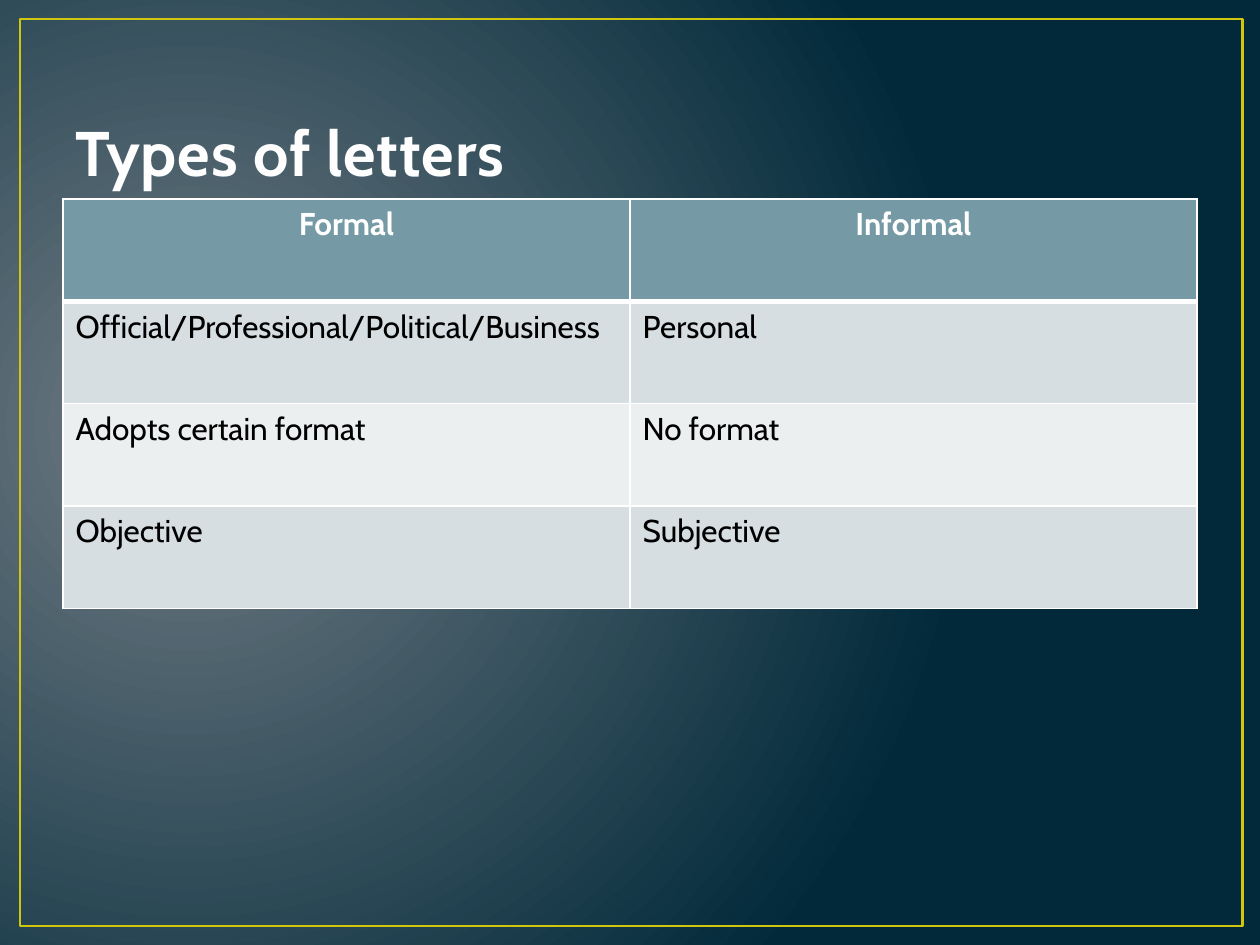
from dataclasses import dataclass
from typing import Any

from lxml.etree import SubElement
from pptx import Presentation
from pptx.dml.color import RGBColor
from pptx.enum.shapes import MSO_SHAPE as Preset
from pptx.enum.text import MSO_ANCHOR as Anchor, PP_ALIGN as Align
from pptx.oxml import parse_xml
from pptx.oxml.ns import nsdecls, qn
from pptx.util import Inches, Pt


@dataclass(frozen=True)
class Theme:
    """Colours, font and type sizes of the slide."""
    font: str = "Cabin"
    title_size: float = 36
    table_size: float = 18
    glow: str = "717C84"
    night: str = "01293A"
    frame: str = "CFC60D"
    title: str = "FEFEFE"
    title_edge: str = "384F55"
    header: str = "759AA5"
    bands: tuple[str, str] = ("D6DEE1", "ECEFF0")
    grid: str = "FFFFFF"
    header_text: str = "FFFFFF"
    body_text: str = "000000"


@dataclass(frozen=True)
class Contrast:
    """One table row setting formal against informal letters."""
    formal: str
    informal: str


THEME = Theme()
HEADINGS = Contrast("Formal", "Informal")
CONTRASTS = [
    Contrast("Official/Professional/Political/Business", "Personal"),
    Contrast("Adopts certain format", "No format "),
    Contrast("Objective", "Subjective"),
]


def apply(target: Any, values: dict[str, Any]) -> None:
    """Set each named attribute on the target."""
    for name, value in values.items():
        setattr(target, name, value)


def write(frame: Any, text: str, size: float, color: str, bold: bool, align: Any) -> Any:
    """Put one styled run in a text frame and return it."""
    paragraph = frame.paragraphs[0]
    paragraph.alignment = align
    run = paragraph.add_run()
    run.text = text
    apply(run.font, {"name": THEME.font, "size": Pt(size), "bold": bold})
    run.font.color.rgb = RGBColor.from_string(color)
    return run


def paint_background(slide: Any) -> None:
    """Fill the slide with a circular gradient glowing from the left."""
    stops = "".join(
        f'<a:gs pos="{pos}"><a:srgbClr val="{color}"/></a:gs>'
        for pos, color in ((0, THEME.glow), (100000, THEME.night))
    )
    slide.element.cSld.insert(0, parse_xml(
        f'<p:bg {nsdecls("p", "a")}><p:bgPr><a:gradFill rotWithShape="1">'
        f'<a:gsLst>{stops}</a:gsLst><a:path path="circle">'
        '<a:fillToRect l="15000" t="50000" r="85000" b="60000"/></a:path>'
        '</a:gradFill><a:effectLst/></p:bgPr></p:bg>'
    ))


def add_frame(slide: Any) -> None:
    """Draw the thin frame around the slide."""
    frame = slide.shapes.add_shape(
        Preset.RECTANGLE, Inches(0.16), Inches(0.15), Inches(9.7), Inches(7.2))
    frame.shadow.inherit = False
    frame.fill.background()
    frame.line.color.rgb = RGBColor.from_string(THEME.frame)
    frame.line.width = Pt(1.5)


def add_title(slide: Any, text: str) -> None:
    """Add the outlined, slightly spaced title."""
    box = slide.shapes.add_textbox(Inches(0.5), Inches(0.3), Inches(9), Inches(1.25))
    apply(box.text_frame, {"word_wrap": True, "vertical_anchor": Anchor.BOTTOM})
    run = write(box.text_frame, text, THEME.title_size, THEME.title, True, Align.LEFT)
    props = run.font._element
    props.set("spc", "50")
    props.insert(0, parse_xml(
        f'<a:ln {nsdecls("a")} w="{Pt(1.05)}"><a:solidFill>'
        f'<a:srgbClr val="{THEME.title_edge}"/></a:solidFill></a:ln>'))


def set_borders(cell: Any, top: float, bottom: float) -> None:
    """Rule all four sides of a cell, placed ahead of its fill."""
    props = cell._tc.get_or_add_tcPr()
    sides = {"lnL": 1, "lnR": 1, "lnT": top, "lnB": bottom}
    for index, (side, width) in enumerate(sides.items()):
        line = SubElement(props, qn(f"a:{side}"), w=str(Pt(width)))
        fill = SubElement(line, qn("a:solidFill"))
        SubElement(fill, qn("a:srgbClr"), val=THEME.grid)
        props.insert(index, line)


def add_comparison(slide: Any) -> None:
    """Build the table comparing the two types of letters."""
    rows = [HEADINGS, *CONTRASTS]
    table = slide.shapes.add_table(
        len(rows), 2, Inches(0.5), Inches(1.58), Inches(9), Inches(3.25)).table
    for index, row in enumerate(rows):
        heading = index == 0
        background = THEME.header if heading else THEME.bands[(index - 1) % 2]
        color = THEME.header_text if heading else THEME.body_text
        align = Align.CENTER if heading else Align.LEFT
        for column, text in enumerate((row.formal, row.informal)):
            cell = table.cell(index, column)
            cell.fill.solid()
            cell.fill.fore_color.rgb = RGBColor.from_string(background)
            set_borders(cell, 3 if index == 1 else 1, 3 if heading else 1)
            write(cell.text_frame, text, THEME.table_size, color, heading, align)


def main() -> None:
    """Build and save the slide."""
    deck = Presentation()
    apply(deck, {"slide_width": Inches(10), "slide_height": Inches(7.5)})
    slide = deck.slides.add_slide(deck.slide_layouts[6])
    paint_background(slide)
    add_frame(slide)
    add_title(slide, "Types of letters")
    add_comparison(slide)
    deck.save("out.pptx")


main()
